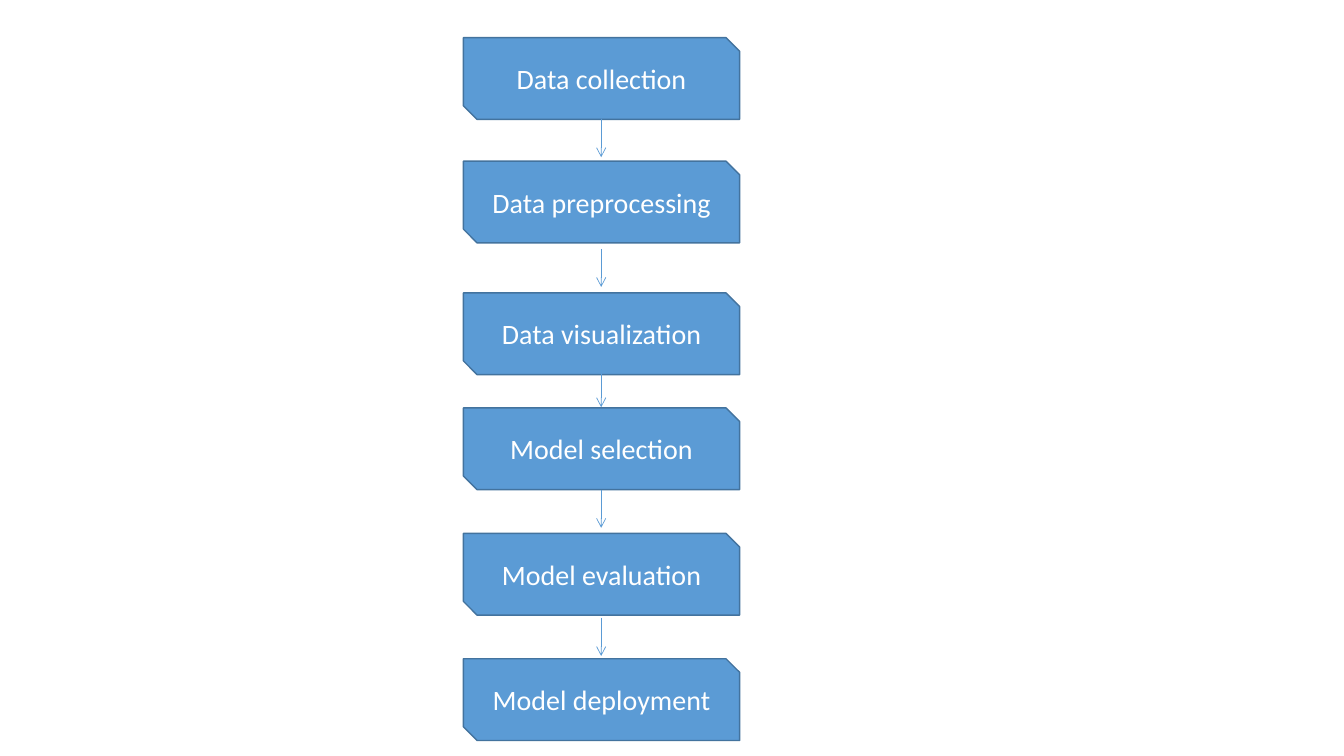
"""Build a slide with the six steps of a machine learning workflow."""
from pptx import Presentation
from pptx import util as u
from pptx.dml.color import RGBColor
from pptx.enum import shapes, text
from pptx.oxml.ns import qn
from lxml import etree


def colour(value):
    """Turn a hex string into a colour."""
    return RGBColor.from_string(value)


class FlowSlide:
    """Hold the flow chart style and the current slide."""

    FONT, FONT_SIZE = "Calibri", 20
    FILL, OUTLINE, TEXT = "5B9BD5", "43739E", "FFFFFF"
    LEFT, WIDTH, HEIGHT = 11.68, 6.96, 2.06
    ARROW_X, ARROW_LENGTH = 15.15, 0.96

    def __init__(self, presentation):
        """Add a blank slide."""
        self.slide = presentation.slides.add_slide(presentation.slide_layouts[6])

    def step(self, label, top):
        """Add a step box with two snipped corners."""
        shape = self.slide.shapes.add_shape(
            shapes.MSO_SHAPE.SNIP_2_DIAG_RECTANGLE,
            u.Cm(self.LEFT), u.Cm(top), u.Cm(self.WIDTH), u.Cm(self.HEIGHT))
        shape.shadow.inherit = False
        shape.fill.solid()
        shape.fill.fore_color.rgb = colour(self.FILL)
        shape.line.color.rgb = colour(self.OUTLINE)
        shape.line.width = u.Pt(1)
        frame = shape.text_frame
        frame.word_wrap = True
        frame.vertical_anchor = text.MSO_ANCHOR.MIDDLE
        paragraph = frame.paragraphs[0]
        paragraph.text = label
        paragraph.alignment = text.PP_ALIGN.CENTER
        paragraph.font.name = self.FONT
        paragraph.font.size = u.Pt(self.FONT_SIZE)
        paragraph.font.color.rgb = colour(self.TEXT)

    def arrow(self, top):
        """Add a downward arrow between two boxes."""
        connector = self.slide.shapes.add_connector(
            shapes.MSO_CONNECTOR.STRAIGHT,
            u.Cm(self.ARROW_X), u.Cm(top),
            u.Cm(self.ARROW_X), u.Cm(top + self.ARROW_LENGTH))
        connector.line.color.rgb = colour(self.FILL)
        connector.line.width = u.Pt(0.5)
        etree.SubElement(connector.line._get_or_add_ln(), qn("a:tailEnd"), type="arrow")
        etree.SubElement(connector._element.spPr, qn("a:effectLst"))


def main():
    """Build and save the presentation."""
    presentation = Presentation()
    presentation.slide_width = u.Cm(33.87)
    presentation.slide_height = u.Cm(19.05)
    flow = FlowSlide(presentation)
    steps = [
        ("Data collection", 0.95),
        ("Data preprocessing", 4.06),
        ("Data visualization", 7.38),
        ("Model selection", 10.28),
        ("Model evaluation", 13.44),
        ("Model deployment", 16.6),
    ]
    for label, top in steps:
        flow.step(label, top)
    for top in (3.0, 6.27, 9.3, 12.34, 15.57):
        flow.arrow(top)
    presentation.save("out.pptx")


if __name__ == "__main__":
    main()
